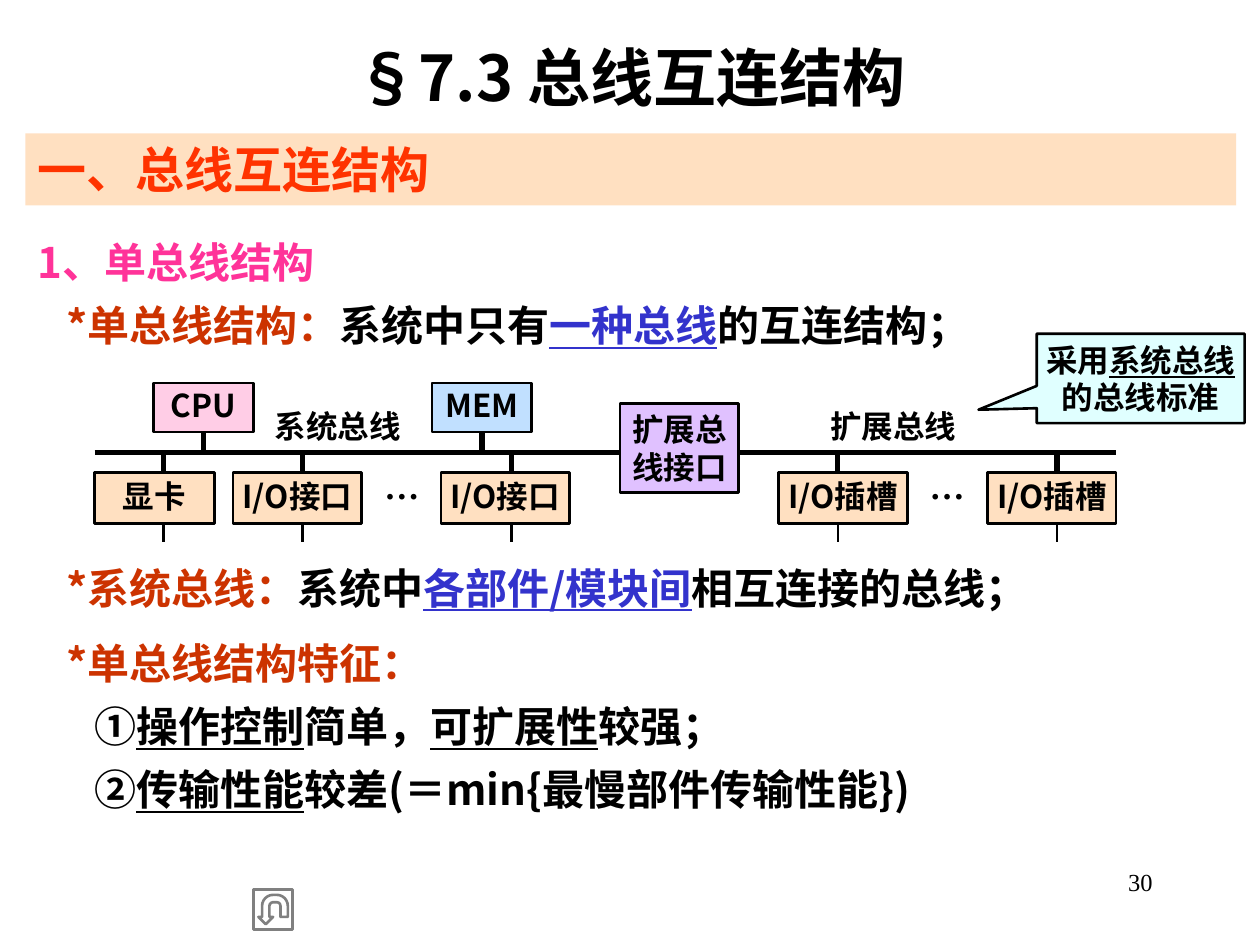
"""Builds the slide on single-bus interconnection structures."""
from lxml import etree
from pptx import Presentation
from pptx.dml.color import RGBColor
from pptx.enum.shapes import MSO_CONNECTOR, MSO_SHAPE
from pptx.enum.text import MSO_ANCHOR, MSO_AUTO_SIZE, PP_ALIGN
from pptx.oxml.ns import qn
from pptx.util import Cm, Pt

RECTANGLE = MSO_SHAPE.RECTANGLE
CALLOUT = MSO_SHAPE.RECTANGULAR_CALLOUT
RETURN_BUTTON = MSO_SHAPE.ACTION_BUTTON_RETURN
STRAIGHT = MSO_CONNECTOR.STRAIGHT
TOP, MIDDLE = MSO_ANCHOR.TOP, MSO_ANCHOR.MIDDLE
LEFT, CENTER, RIGHT = PP_ALIGN.LEFT, PP_ALIGN.CENTER, PP_ALIGN.RIGHT
NO_AUTOFIT = MSO_AUTO_SIZE.NONE

SANS, SERIF = "Noto Sans CJK SC", "Times New Roman"
BLACK, RED, BLUE, PEACH, GREY = "000000", "CC3300", "3333CC", "FFCC99", "808080"
TIGHT = {"margin_left": Cm(0.05), "margin_right": Cm(0.05),
         "margin_top": Cm(0.03), "margin_bottom": Cm(0.03),
         "vertical_anchor": MIDDLE}


def paint(fill, color):
    """Give a fill one solid colour."""
    fill.solid()
    fill.fore_color.rgb = RGBColor.from_string(color)


def write(shape, paragraphs, size, align=LEFT, spacing=1.0, face=SANS, bold=True, frame_format=None):
    """Fill a shape with paragraphs of (indent, spans), a span being (text, colour, underline)."""
    frame = shape.text_frame
    frame_values = {"word_wrap": True, "auto_size": NO_AUTOFIT, "vertical_anchor": TOP}
    for name, value in (frame_values | (frame_format or {})).items():
        setattr(frame, name, value)
    for index, (indent, spans) in enumerate(paragraphs):
        para = frame.add_paragraph() if index else frame.paragraphs[0]
        properties = para._p.get_or_add_pPr()
        properties.set("marL", str(Cm(indent)))
        properties.set("indent", "0")
        etree.SubElement(properties, qn("a:buNone"))
        para_values = {"alignment": align, "line_spacing": spacing,
                       "space_before": Pt(0), "space_after": Pt(0)}
        for name, value in para_values.items():
            setattr(para, name, value)
        for text, color, underline in spans:
            span = para.add_run()
            span.text = text
            span_values = {"name": face, "size": Pt(size), "bold": bold, "underline": underline}
            for name, value in span_values.items():
                setattr(span.font, name, value)
            paint(span.font.fill, color)
            etree.SubElement(span.font._element, qn("a:ea"), typeface=SANS)


deck = Presentation()
deck.slide_width, deck.slide_height = Cm(25.4), Cm(19.05)
page = deck.slides.add_slide(deck.slide_layouts[4])
title, heading, definition, system_bus, features = page.placeholders

section_left, section_width = 0.51, 24.41
placeholder_rows = [
    (title, (2.34, 0.64, 20.75, 1.78), 36, CENTER, 1.0,
     [(0, [("§7.3 总线互连结构", BLACK, False)])]),
    (heading, (section_left, 2.69, section_width, 1.45), 28, LEFT, 1.0,
     [(0, [("一、总线互连结构", "FF3300", False)])]),
    (definition, (section_left, 4.39, section_width, 2.79), 24, LEFT, 1.25,
     [(0, [("1、单总线结构", "FF3399", False)]),
      (0.57, [("*单总线结构：", RED, False), ("系统中只有", BLACK, False),
              ("一种总线", BLUE, True), ("的互连结构；", BLACK, False)])]),
    (system_bus, (section_left, 11.05, section_width, 1.42), 24, LEFT, 1.15,
     [(0.57, [("*系统总线：", RED, False), ("系统中", BLACK, False),
              ("各部件/模块间", BLUE, True), ("相互连接的总线；", BLACK, False)])]),
    (features, (section_left, 12.47, section_width, 4.06), 24, LEFT, 1.25,
     [(0.57, [("*单总线结构特征：", RED, False)]),
      (1.14, [("①", BLACK, False), ("操作控制", BLACK, True), ("简单，", BLACK, False),
              ("可扩展性", BLACK, True), ("较强；", BLACK, False)]),
      (1.14, [("②", BLACK, False), ("传输性能", BLACK, True),
              ("较差(＝min{最慢部件传输性能})", BLACK, False)])]),
]
for box, place, size, align, spacing, paragraphs in placeholder_rows:
    box.left, box.top, box.width, box.height = map(Cm, place)
    write(box, paragraphs, size, align, spacing)
paint(heading.fill, PEACH)

bus_y, slot_top, slot_height, tail_end = 9.12, 9.53, 1.02, 10.92
blocks = {
    "CPU": (RECTANGLE, (3.1, 7.72, 2.01, 0.99), "FF99CC", 0.9, [("CPU", BLACK, False)]),
    "MEM": (RECTANGLE, (8.71, 7.72, 2.01, 0.99), "99CCFF", 0.9, [("MEM", BLACK, False)]),
    "bridge": (RECTANGLE, (12.5, 8.13, 2.39, 1.8), "CC99FF", 1.0,
               [("扩展总线接口", BLACK, False)]),
    "note": (CALLOUT, (20.9, 6.73, 4.19, 1.8), "CCFFFF", 1.0,
             [("采用", BLACK, False), ("系统总线", BLACK, True), ("的总线标准", BLACK, False)]),
}
slots = [("显卡", 1.91, 2.41, 3.3), ("I/O接口", 4.7, 2.59, 6.1), ("I/O接口", 8.89, 2.59, 10.31),
         ("I/O插槽", 15.7, 2.59, 16.89), ("I/O插槽", 19.91, 2.59, 21.31)]
for index, (label, left, width, tap) in enumerate(slots):
    blocks[f"slot {index}"] = (RECTANGLE, (left, slot_top, width, slot_height), PEACH, 0.9,
                               [(label, BLACK, False)])

shapes = {}
for key, (kind, place, color, spacing, spans) in blocks.items():
    shape = page.shapes.add_shape(kind, *map(Cm, place))
    shape.shadow.inherit = False
    paint(shape.fill, color)
    paint(shape.line.fill, BLACK)
    shape.line.width = Pt(1.5)
    write(shape, [(0, spans)], 18, CENTER, spacing, frame_format=TIGHT)
    shapes[key] = shape
shapes["note"].adjustments[0] = -0.78
shapes["note"].adjustments[1] = 0.35

for shape in [heading, *shapes.values()]:
    opacity = "49000" if shape is shapes["CPU"] else "60000"
    fill_color = shape.element.spPr.find(qn("a:solidFill")).find(qn("a:srgbClr"))
    etree.SubElement(fill_color, qn("a:alpha"), val=opacity)

wires = [(1.91, bus_y, 12.5, bus_y, 3, None), (14.91, bus_y, 22.5, bus_y, 3, None),
         (4.1, 8.71, 4.1, bus_y, 3, "CPU"), (9.71, 8.71, 9.71, bus_y, 3, "MEM")]
for label, left, width, tap in slots:
    wires.append((tap, bus_y, tap, slot_top, 3, None))
    wires.append((tap, slot_top + slot_height, tap, tail_end, 1.5, None))
for start_x, start_y, end_x, end_y, weight, source in wires:
    wire = page.shapes.add_connector(STRAIGHT, Cm(start_x), Cm(start_y), Cm(end_x), Cm(end_y))
    if source:
        wire.begin_connect(shapes[source], 2)
        wire.end_x = wire.begin_x
    paint(wire.line.fill, BLACK)
    wire.line.width = Pt(weight)
    etree.SubElement(wire.element.spPr, qn("a:effectLst"))

labels = [("系统总线", (5.49, 8.13, 2.79, 0.91), 18, LEFT, 1.0, SANS, True, TIGHT),
          ("扩展总线", (16.69, 8.13, 3, 0.91), 18, LEFT, 1.0, SANS, True, TIGHT),
          ("…", (7.7, slot_top, 0.99, 0.69), 20, LEFT, 0.8, SERIF, True, TIGHT),
          ("…", (18.69, slot_top, 0.99, 0.69), 20, LEFT, 0.8, SERIF, True, TIGHT),
          ("30", (18.21, 17.35, 5.28, 1.27), 14, RIGHT, 1.0, SERIF, False, None)]
for text, place, *text_format in labels:
    box = page.shapes.add_textbox(*map(Cm, place))
    write(box, [(0, [(text, BLACK, False)])], *text_format)

button = page.shapes.add_shape(RETURN_BUTTON, Cm(5.11), Cm(17.93), Cm(0.79), Cm(0.81))
button.shadow.inherit = False
button.rotation = 180
button.fill.background()
paint(button.line.fill, GREY)
button.line.width = Pt(1.5)

deck.save("out.pptx")
